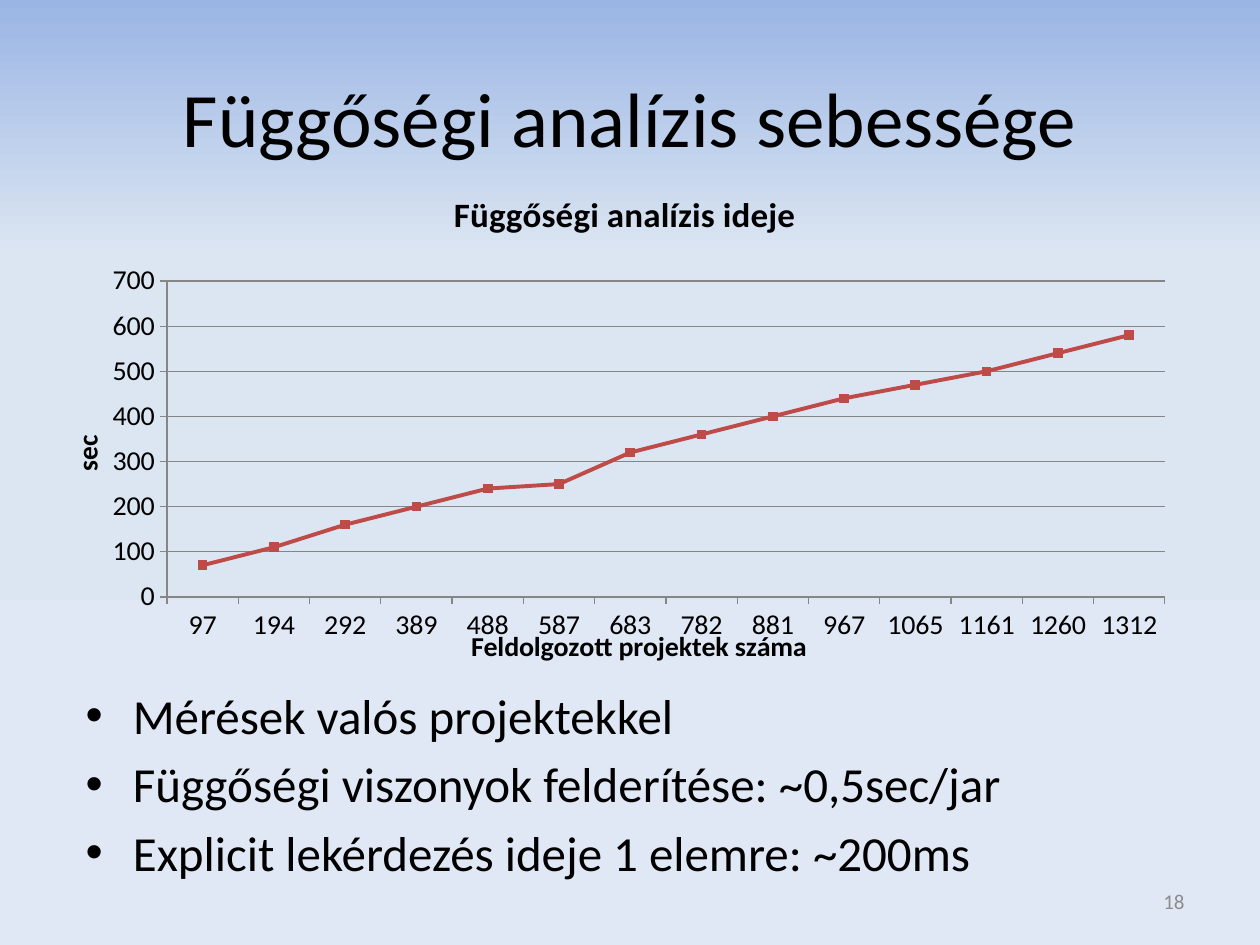
import pptx
import pptx.chart.data
import pptx.dml.color
import pptx.enum.chart
import pptx.enum.text
import pptx.oxml
import pptx.oxml.ns
import pptx.util

HUES = {"top": "9AB5E4", "mid": "DCE6F2", "base": "E1E8F5", "text": "000000",
        "line": "BE4B48", "grid": "868686", "page": "8C8C8C"}
SCALE = 914400 / 126
WIDE, HIGH = 1124, 504
TIMES = {97: 70, 194: 110, 292: 160, 389: 200, 488: 240, 587: 250, 683: 320,
         782: 360, 881: 400, 967: 440, 1065: 470, 1161: 500, 1260: 540, 1312: 580}
POINTS = ["Mérések valós projektekkel",
          "Függőségi viszonyok felderítése: ~0,5sec/jar",
          "Explicit lekérdezés ideje 1 elemre: ~200ms"]


def px(n):
    return pptx.util.Emu(round(n * SCALE))


def tint(name):
    return pptx.dml.color.RGBColor.from_string(HUES[name])


def apply(item, **vals):
    for key, val in vals.items():
        setattr(item, key, val)


def style(font, size, hue="text", bold=False):
    apply(font, name="Calibri", size=pptx.util.Pt(size), bold=bold)
    font.color.rgb = tint(hue)


def place(shape, left, top, width, height):
    apply(shape, left=px(left), top=px(top), width=px(width), height=px(height))


def stroke(line, hue, width):
    line.color.rgb = tint(hue)
    line.width = pptx.util.Pt(width)


def shade(slide):
    fill = slide.background.fill
    fill.gradient()
    fill.gradient_angle = 270
    stops = slide.background._cSld.find(".//" + pptx.oxml.ns.qn("a:gsLst"))
    for stop in list(stops):
        stops.remove(stop)
    for name, pos in (("top", 0), ("mid", 27), ("base", 100)):
        stops.append(pptx.oxml.parse_xml(
            f'<a:gs {pptx.oxml.ns.nsdecls("a")} pos="{pos * 1000}">'
            f'<a:srgbClr val="{HUES[name]}"/></a:gs>'))


def write(shape, lines, size, hue="text", **vals):
    frame = shape.text_frame
    frame.text = "\n".join(lines)
    apply(frame, word_wrap=True, auto_size=pptx.enum.text.MSO_AUTO_SIZE.NONE)
    for para in frame.paragraphs:
        apply(para, **vals)
        style(para.runs[0].font, size, hue)
    return frame


def pin(node, spots, inner=False):
    old = node.find(pptx.oxml.ns.qn("c:layout"))
    if old is not None:
        node.remove(old)
    target = '<c:layoutTarget val="inner"/>' if inner else ""
    modes = "".join(f'<c:{key}Mode val="edge"/>' for key in "xy")
    vals = "".join(f'<c:{key} val="{val / (WIDE if key in "xw" else HIGH)}"/>'
                   for key, val in spots.items())
    box = pptx.oxml.parse_xml(
        f'<c:layout {pptx.oxml.ns.nsdecls("c")}><c:manualLayout>'
        f'{target}{modes}{vals}</c:manualLayout></c:layout>')
    text = node.find(pptx.oxml.ns.qn("c:tx"))
    if text is None:
        node.insert(0, box)
    else:
        text.addnext(box)


def label(title, text, size):
    title.text_frame.text = text
    style(title.text_frame.paragraphs[0].runs[0].font, size, bold=True)


def dress(axis, text, x, y):
    apply(axis, has_title=True, major_tick_mark=pptx.enum.chart.XL_TICK_MARK.OUTSIDE,
          minor_tick_mark=pptx.enum.chart.XL_TICK_MARK.NONE)
    label(axis.axis_title, text, 16)
    pin(axis.axis_title._element, {"x": x, "y": y})
    style(axis.tick_labels.font, 16)
    stroke(axis.format.line, "grid", 0.75)


def plot(slide):
    data = pptx.chart.data.CategoryChartData()
    data.categories = [str(count) for count in TIMES]
    data.add_series("Series 1", TIMES.values())
    chart = slide.shapes.add_chart(
        pptx.enum.chart.XL_CHART_TYPE.LINE_MARKERS,
        px(63), px(168), px(WIDE), px(HIGH), data).chart
    apply(chart, has_legend=False, has_title=True)
    style(chart.font, 10)
    label(chart.chart_title, "Függőségi analízis ideje", 20)
    dress(chart.category_axis, "Feldolgozott projektek száma", 403, 466)
    dress(chart.value_axis, "sec", 0, 270)
    apply(chart.value_axis, minimum_scale=0, maximum_scale=700, major_unit=100,
          has_major_gridlines=True)
    stroke(chart.value_axis.major_gridlines.format.line, "grid", 0.75)
    area = chart._chartSpace.find(".//" + pptx.oxml.ns.qn("c:plotArea"))
    pin(area, {"x": 104, "y": 116, "w": 998, "h": 324}, True)
    chart.plots[0].vary_by_categories = False
    row = chart.plots[0].series[0]
    row.smooth = False
    stroke(row.format.line, "line", 2.25)
    apply(row.marker, style=pptx.enum.chart.XL_MARKER_STYLE.SQUARE, size=5)
    row.marker.format.fill.solid()
    row.marker.format.fill.fore_color.rgb = tint("line")
    stroke(row.marker.format.line, "line", 0.75)


def main():
    deck = pptx.Presentation()
    apply(deck, slide_width=px(1260), slide_height=px(945))
    slide = deck.slides.add_slide(deck.slide_layouts[1])
    shade(slide)
    align = pptx.enum.text.PP_ALIGN
    middle = pptx.enum.text.MSO_ANCHOR.MIDDLE
    title, body = slide.placeholders
    place(title, 63, 38, 1134, 158)
    frame = write(title, ["Függőségi analízis sebessége"], 44, alignment=align.CENTER)
    frame.vertical_anchor = middle
    place(body, 73, 679, 1071, 262)
    write(body, POINTS, 28)
    plot(slide)
    page = slide.shapes.add_textbox(px(903), px(876), px(294), px(50))
    frame = write(page, ["18"], 12, "page", alignment=align.RIGHT)
    frame.vertical_anchor = middle
    deck.save("out.pptx")


if __name__ == "__main__":
    main()
